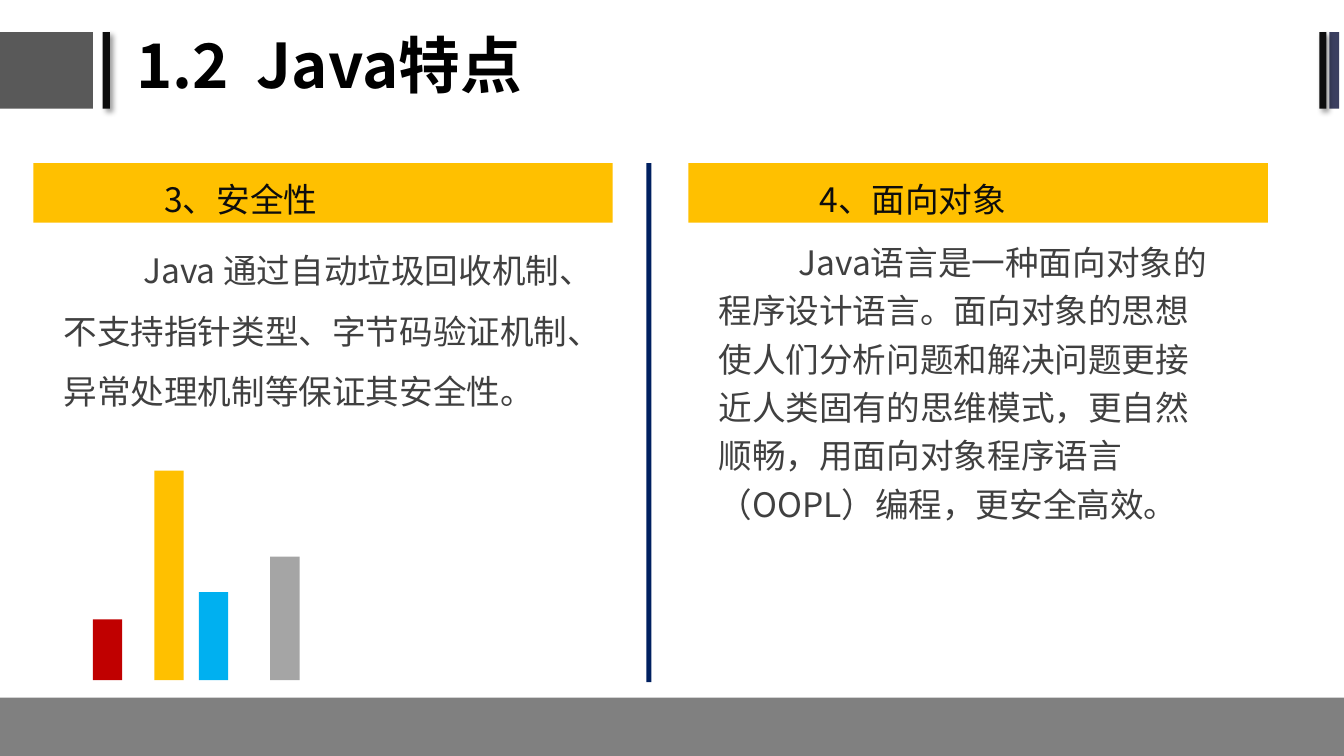
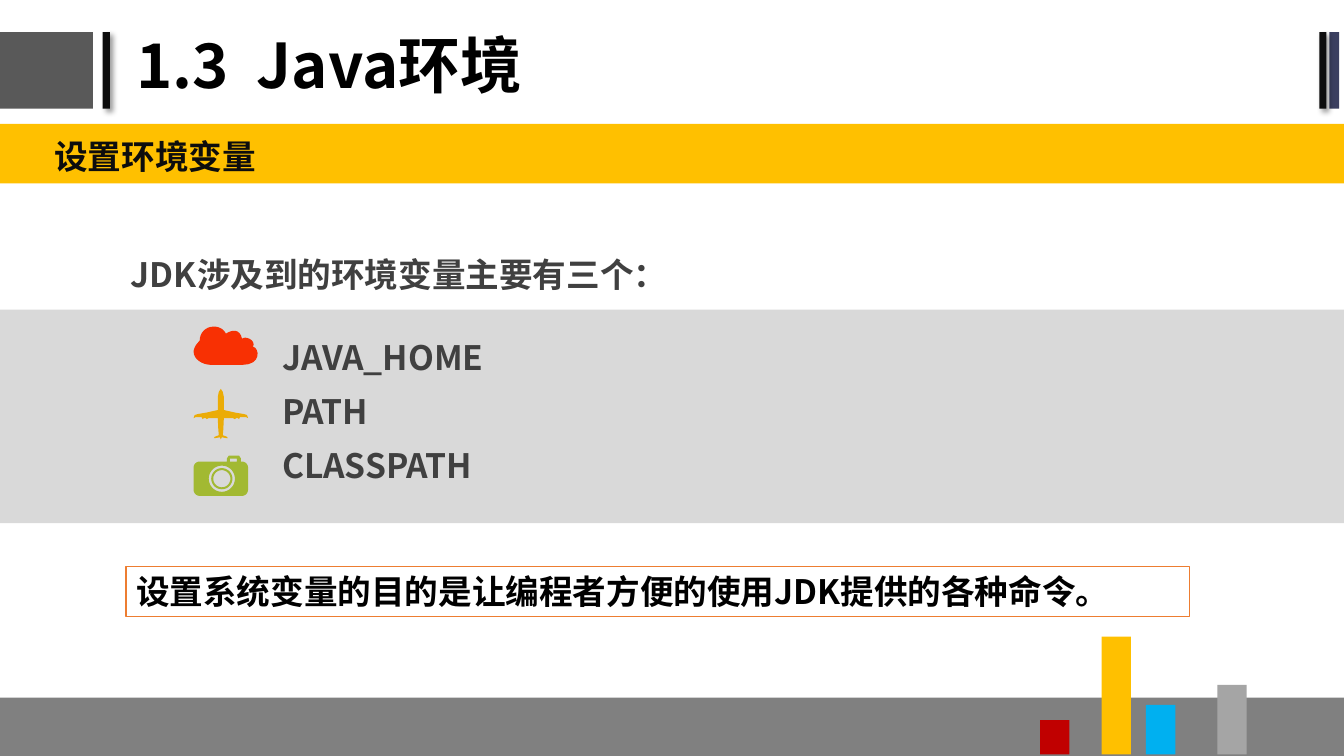
from itertools import chain
from math import cos, radians, sin

from lxml.etree import SubElement
from pptx import Presentation
from pptx.dml.color import RGBColor
from pptx.enum.shapes import MSO_SHAPE
from pptx.enum.text import MSO_ANCHOR, MSO_AUTO_SIZE, PP_ALIGN
from pptx.oxml.ns import qn
from pptx.util import Cm, Pt

FONT = "Noto Sans CJK SC"
BLACK, INK, BODY_INK = "000000", "0D0D0D", "404040"
AMBER, RED, SKY, SILVER = "FFC000", "C00000", "00B0F0", "A5A5A5"
WIDTH, HEIGHT = 33.87, 19.05
BAND_HEIGHT = 1.5
HEADER_TOP, HEADER_HEIGHT = 0.81, 1.93
ICON_UNIT = Cm(2.54) / 100


def color(hex_code):
    """Turn a hex string into a colour."""
    return RGBColor.from_string(hex_code)


def place(part, left, top, width, height):
    """Move a part to a box given in centimetres."""
    part.left, part.top = Cm(left), Cm(top)
    part.width, part.height = Cm(width), Cm(height)


def paint(part, fill, line=None):
    """Give a part a flat fill and, if asked for, a thin outline."""
    part.fill.solid()
    part.fill.fore_color.rgb = color(fill)
    if line:
        part.line.color.rgb = color(line)
        part.line.width = Pt(1)
    else:
        part.line.fill.background()


def block(slide, box, fill, line=None):
    """Add a flat rectangle."""
    rectangle = slide.shapes.add_shape(MSO_SHAPE.RECTANGLE, *map(Cm, box))
    rectangle.shadow.inherit = False
    paint(rectangle, fill, line)
    return rectangle


def write(part, *lines, size=24, ink=BODY_INK, bold=False, spacing=1.2, before=5,
          indent=0, inset=(0.33, 0.18), anchor=MSO_ANCHOR.TOP):
    """Fill a part with left-aligned paragraphs in one format."""
    frame = part.text_frame
    frame.word_wrap = True
    frame.auto_size = MSO_AUTO_SIZE.NONE
    frame.vertical_anchor = anchor
    frame.margin_left, frame.margin_top = map(Cm, inset)
    frame.margin_right, frame.margin_bottom = Cm(0.25), Cm(0.13)
    for number, line in enumerate(lines):
        paragraph = frame.add_paragraph() if number else frame.paragraphs[0]
        paragraph.alignment = PP_ALIGN.LEFT
        paragraph.line_spacing = spacing
        paragraph.space_before = Pt(before)
        properties = paragraph._p.get_or_add_pPr()
        properties.set("marL", "0")
        properties.set("indent", str(Cm(indent)))
        SubElement(properties, qn("a:buNone"))
        run = paragraph.add_run()
        run.text = line
        run.font.name, run.font.size, run.font.bold = FONT, Pt(size), bold
        run.font.color.rgb = color(ink)
        SubElement(run._r.get_or_add_rPr(), qn("a:ea"), typeface=FONT)


def cast_shadow(part):
    """Give a part a soft shadow to the lower right."""
    effects = part.element.spPr.find(qn("a:effectLst"))
    shadow = SubElement(effects, qn("a:outerShdw"), blurRad=str(Pt(4)),
                        dist=str(Pt(3)), dir="2700000", algn="tl", rotWithShape="0")
    tint = SubElement(shadow, qn("a:srgbClr"), val=BLACK)
    SubElement(tint, qn("a:alpha"), val="40000")


def furnish_master(deck, slide):
    """Put the header marks and the footer band on the slide master."""
    marks = [(-0.05, 2.39, "595959", False), (2.59, 0.18, INK, True),
             (33.5, 0.25, "3B3F60", False), (33.25, 0.18, INK, True)]
    parts = [block(slide, (0, 17.58, WIDTH, HEIGHT - 17.58), "808080")]
    for left, width, fill, shaded in marks:
        mark = block(slide, (left, HEADER_TOP, width, HEADER_HEIGHT), fill)
        if shaded:
            cast_shadow(mark)
        parts.append(mark)
    for position, part in enumerate(parts, 2):
        deck.slide_master.shapes.element.insert(position, part.element)


def add_title(slide, text):
    """Place the slide title."""
    title = slide.shapes.title
    place(title, 3.18, 0, 28.58, 3.43)
    write(title, text, size=44, ink=BLACK, bold=True, spacing=0.9, before=0,
          inset=(0.25, 0.13), anchor=MSO_ANCHOR.MIDDLE)


def add_bars(slide, left, bottom, height):
    """Draw the four decorative bars standing on one base line."""
    bars = [(0, 0.29, RED), (1.55, 1, AMBER), (2.67, 0.42, SKY), (4.47, 0.59, SILVER)]
    for offset, share, fill in bars:
        tall = height * share
        block(slide, (left + offset, bottom - tall, 0.74, tall), fill)


def add_panel(heading, body, box, title, text, drop, spacing):
    """Place a feature's amber heading and its text below."""
    left, top, width, height = box
    place(heading, left, top, width, BAND_HEIGHT)
    paint(heading, AMBER)
    write(heading, title, ink=INK, inset=(3.3, 0.2))
    place(body, left + 0.43, top + BAND_HEIGHT + drop, width, height - BAND_HEIGHT - drop)
    write(body, text, spacing=spacing, indent=2.01)


def arc(x, y, radius, start, sweep=90):
    """Return points along a circular arc."""
    steps = sweep // 10
    angles = [radians(start + sweep * step / steps) for step in range(steps + 1)]
    return [(x + radius * cos(angle), y + radius * sin(angle)) for angle in angles]


def curve(points):
    """Return points along a chain of cubic curves."""
    traced = [points[0]]
    for first in range(0, len(points) - 1, 3):
        for step in range(1, 9):
            t = step / 8
            weights = ((1 - t) ** 3, 3 * t * (1 - t) ** 2, 3 * t * t * (1 - t), t ** 3)
            traced.append(tuple(
                sum(weight * point[axis] for weight, point in zip(weights, points[first:first + 4]))
                for axis in (0, 1)))
    return traced


def cloud():
    """Return the cloud outline."""
    return [curve([(48, 38), (68, 38), (65, 21), (59, 20), (62, 13), (51, 9), (48, 12),
                   (46, 2), (38, 3), (32, 7), (30, 3), (26, 0), (20, 0), (12, 0), (6, 6),
                   (6, 14), (3, 17), (0, 21), (0, 25), (0, 32), (8, 38), (18, 38)])]


def plane():
    """Return the aeroplane outline, mirrored about its fuselage."""
    half = [(27, 0), (25, 3), (24, 8), (24, 21), (13, 23.5), (4, 25), (1, 26), (0, 29),
            (2, 28), (8, 28), (9, 30), (10, 29), (12, 29), (13, 30), (15, 29), (24, 29),
            (24.5, 40), (25, 46), (21, 47.5), (20, 49), (21, 49), (26, 48), (27, 50)]
    return [half + [(54 - x, y) for x, y in reversed(half)]]


def camera():
    """Return the camera outline with its window and lens rings."""
    case = list(chain(
        arc(6, 12, 6, 180), [(33, 6), (33, 3), (35, 0), (45, 0), (47, 3), (47, 6)],
        arc(48, 12, 6, 270), arc(48, 34, 6, 0), arc(6, 34, 6, 90)))
    window = [(36, 3), (43, 3), (43, 6), (36, 6)]
    return [case, window] + [arc(28, 23, radius, 0, 360) for radius in (13, 10.5, 8.5)]


def add_icon(slide, left, top, outlines, fill):
    """Draw an icon from closed outlines at the given corner."""
    scaled = [[(x * ICON_UNIT, y * ICON_UNIT) for x, y in outline] for outline in outlines]
    builder = slide.shapes.build_freeform(*scaled[0][0])
    for number, outline in enumerate(scaled):
        if number:
            builder.move_to(*outline[0])
        builder.add_line_segments(outline[1:], close=True)
    icon = builder.convert_to_shape(Cm(left), Cm(top))
    icon.shadow.inherit = False
    paint(icon, fill)


def add_variables(slide, names, box):
    """Place the grey list of variables with an icon before each."""
    left, top, width, height = box
    listing = slide.placeholders[1]
    place(listing, *box)
    paint(listing, "D9D9D9")
    write(listing, *names, bold=True, before=4, inset=(7.11, 0.48))
    icons = [(0.43, cloud(), "F83003"), (2, plane(), "EBAC07"), (3.68, camera(), "A2B932")]
    for drop, outlines, fill in icons:
        add_icon(slide, left + 4.88, top + drop, outlines, fill)


def build_features(slide):
    """Build the slide with two language features side by side."""
    add_title(slide, "1.2  Java特点")
    first_head, first_body, second_head, second_body = list(slide.placeholders)[1:]
    add_panel(first_head, first_body, (0.84, 4.11, 14.6, 5.6), "3、安全性",
              "Java 通过自动垃圾回收机制、不支持指针类型、字节码验证机制、异常处理机制等保证其安全性。",
              0, 1.5)
    add_panel(second_head, second_body, (17.35, 4.11, 14.6, 10.1), "4、面向对象",
              "Java语言是一种面向对象的程序设计语言。面向对象的思想使人们分析问题和解决问题更接近人类固有的"
              "思维模式，更自然顺畅，用面向对象程序语言（OOPL）编程，更安全高效。",
              0.1, 1.2)
    second_body.width = Cm(12.98)
    add_bars(slide, 2.34, 17.14, 5.28)
    block(slide, (16.29, 4.11, 0.13, 13.08), "002060")


def build_environment(slide):
    """Build the slide on environment variables."""
    add_title(slide, "1.3  Java环境")
    heading = block(slide, (0, 3.12, WIDTH, BAND_HEIGHT), AMBER)
    write(heading, "设置环境变量", ink=INK, bold=True, inset=(1.37, 0.11))
    intro = slide.shapes.add_textbox(Cm(2.97), Cm(6.02), Cm(25.88), Cm(1.47))
    write(intro, "JDK涉及到的环境变量主要有三个：", bold=True)
    add_variables(slide, ["JAVA_HOME", "PATH", "CLASSPATH"], (0, 7.8, WIDTH, 5.38))
    purpose = block(slide, (3.18, 14.27, 26.8, 1.27), "FFFFFF", "ED7D31")
    write(purpose, "设置系统变量的目的是让编程者方便的使用JDK提供的各种命令。", ink=BLACK, bold=True,
          spacing=1, before=0, inset=(0.25, 0.13), anchor=MSO_ANCHOR.MIDDLE)
    add_bars(slide, 26.21, 19.01, 2.97)


def main():
    """Build and save the deck."""
    deck = Presentation()
    deck.slide_width, deck.slide_height = Cm(WIDTH), Cm(HEIGHT)
    features = deck.slides.add_slide(deck.slide_layouts[4])
    furnish_master(deck, features)
    build_features(features)
    build_environment(deck.slides.add_slide(deck.slide_layouts[1]))
    deck.save("out.pptx")


if __name__ == "__main__":
    main()
